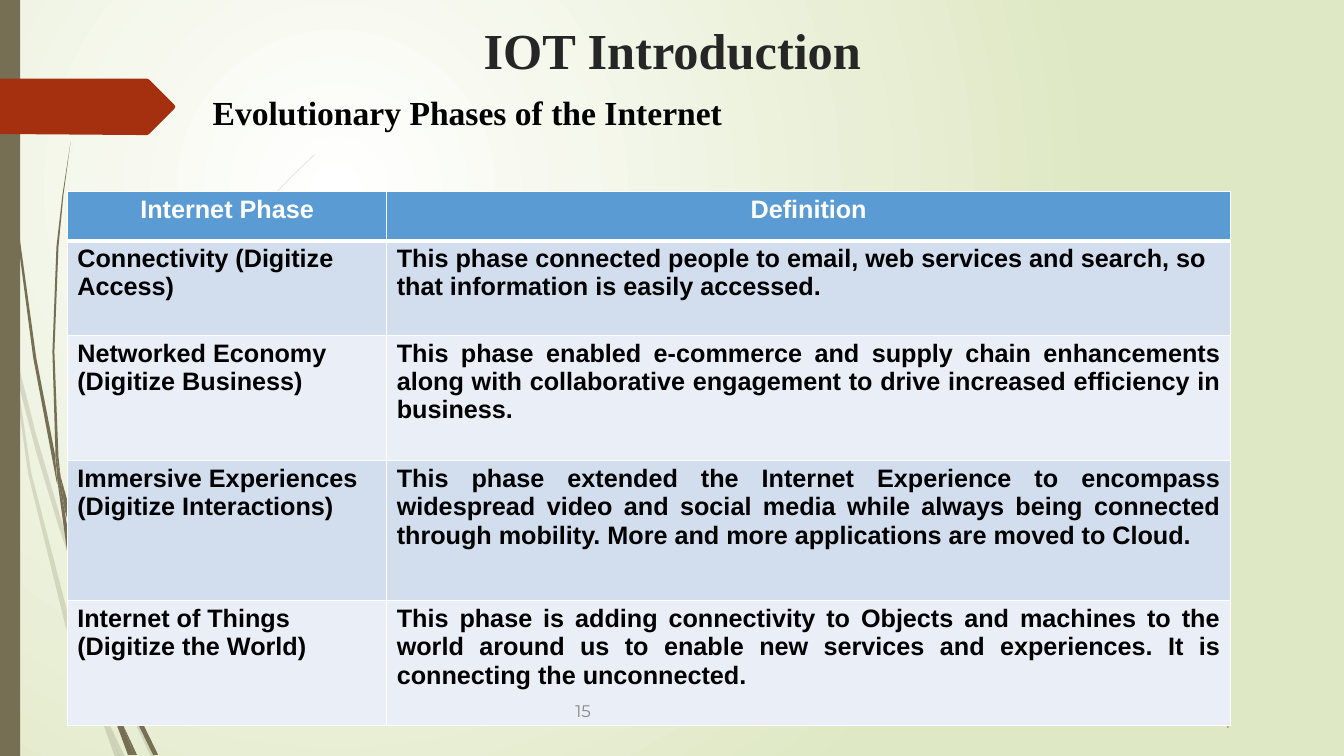
from pptx import Presentation
from pptx.dml.color import RGBColor
from pptx.enum.shapes import MSO_SHAPE
from pptx.enum.text import MSO_ANCHOR as Anchor, PP_ALIGN as Align
from pptx.oxml.ns import qn
from pptx.util import Cm, Pt
from lxml.etree import SubElement

WHITE = RGBColor(0xFF, 0xFF, 0xFF)
BLACK = RGBColor(0, 0, 0)
INK = RGBColor(0x26, 0x26, 0x26)
GREY = RGBColor(0x88, 0x88, 0x88)
PALE_GREEN = RGBColor(0xDF, 0xE8, 0xC4)
OLIVE = RGBColor(0x76, 0x6F, 0x54)
RUST = RGBColor(0xA5, 0x30, 0x10)
HEADER_BLUE = RGBColor(0x5B, 0x9B, 0xD4)
BAND_DARK = RGBColor(0xD2, 0xDE, 0xEE)
BAND_LIGHT = RGBColor(0xEA, 0xEE, 0xF7)

SERIF, SANS, NUMBER = "Times New Roman", "Arial", "Montserrat"
GRID = Cm(2.54) / 100  # outlines are given in hundredths of an inch

FAINT_GRASS = [
    [(11, 350), (9, 322), (0, 282), (0, 299), (10, 344)],
    [(58, 522), (84, 599), (85, 586), (62, 520), (36, 432), (14, 345), (17, 376), (36, 449)],
    [(92, 607), (88, 596), (88, 610), (123, 694), (150, 751), (155, 751), (127, 692)],
    [(119, 751), (124, 751), (105, 711)],
    [(93, 683), (70, 619), (31, 469), (17, 376), (11, 350), (28, 470), (65, 621),
     (92, 693), (101, 714), (99, 707)],
    [(84, 599), (87, 646), (93, 683), (96, 692), (105, 711), (103, 706), (91, 646),
     (88, 610), (88, 608)],
    [(88, 584), (110, 462), (160, 349), (229, 245), (268, 198), (290, 175), (312, 154),
     (312, 153), (289, 175), (268, 197), (228, 244), (158, 348), (107, 461), (85, 584),
     (85, 586), (88, 596)],
    [(101, 714), (114, 751), (119, 751)],
    [(88, 608), (88, 610), (88, 596), (85, 586), (84, 599)],
    [(96, 692), (93, 683), (99, 707), (101, 714), (119, 751), (105, 711)],
]
GRASS = [
    [(7, 110), (17, 233), (33, 355), (56, 477), (57, 481), (55, 457), (55, 453), (36, 355),
     (19, 232), (8, 109), (5, 48), (4, 0), (3, 0), (4, 48)],
    [(88, 592), (106, 645), (106, 633), (106, 631), (93, 590), (60, 472), (64, 505)],
    [(113, 649), (110, 641), (111, 656), (132, 708), (152, 749), (157, 749), (136, 706)],
    [(110, 691), (98, 657), (72, 556), (64, 505), (57, 477), (68, 557), (93, 659),
     (111, 708), (117, 722), (116, 717)],
    [(60, 472), (58, 453), (54, 349), (58, 245), (63, 193), (70, 141), (62, 193),
     (56, 245), (52, 349), (55, 449)],
    [(133, 749), (136, 749), (122, 719)],
    [(57, 477), (64, 505), (60, 472), (55, 449), (55, 453)],
    [(111, 633), (125, 552), (158, 476), (205, 406), (231, 374), (245, 359), (261, 344),
     (260, 344), (245, 358), (231, 373), (204, 405), (156, 474), (122, 551), (106, 631),
     (110, 641)],
    [(117, 722), (127, 749), (131, 749)],
    [(106, 645), (110, 691), (116, 706), (122, 719), (121, 716), (111, 656), (109, 651)],
    [(106, 645), (109, 651), (111, 656), (110, 641), (106, 631), (106, 633)],
    [(116, 706), (110, 691), (116, 717), (117, 722), (130, 749), (133, 749), (122, 719)],
]
ARROW_TAG = [(0, 78), (146, 78), (148, 79), (173, 104), (174, 106), (173, 108), (148, 133),
             (146, 134), (136, 134), (0, 133)]

PHASES = [
    ("Internet Phase", "Definition"),
    ("Connectivity (Digitize Access)",
     "This phase connected people to email, web services and search, so that information "
     "is easily accessed."),
    ("Networked Economy (Digitize Business)",
     "This phase enabled e-commerce and supply chain enhancements along with collaborative "
     "engagement to drive increased efficiency in business."),
    ("Immersive Experiences (Digitize Interactions)",
     "This phase extended the Internet Experience to encompass widespread video and social "
     "media while always being connected through mobility. More and more applications are "
     "moved to Cloud."),
    ("Internet of Things (Digitize the World)",
     "This phase is adding connectivity to Objects and machines to the world around us to "
     "enable new services and experiences. It is connecting the unconnected."),
]


class SlideBuilder:
    def __init__(self, page):
        self.page = page

    def background(self, centre, edge):
        """Fill the page with a round gradient centred in its upper left quarter."""
        fill = self.page.background.fill
        fill.gradient()
        for stop, color in zip(fill.gradient_stops, (centre, edge)):
            stop.color.rgb = color
        gradient = self.page._element.find(".//" + qn("a:gradFill"))
        gradient.remove(gradient.find(qn("a:lin")))
        circle = SubElement(gradient, qn("a:path"), {"path": "circle"})
        SubElement(circle, qn("a:fillToRect"), l="50000", t="50000", r="100000", b="100000")

    def paint(self, shape, color, alpha=None):
        shape.shadow.inherit = False
        shape.line.fill.background()
        shape.fill.solid()
        shape.fill.fore_color.rgb = color
        if alpha:
            tint = shape._element.spPr.find(".//" + qn("a:srgbClr"))
            SubElement(tint, qn("a:alpha"), val=str(alpha * 1000))

    def outline(self, points, color, alpha=None):
        builder = self.page.shapes.build_freeform(*points[0], scale=GRID)
        builder.add_line_segments(points[1:], close=True)
        self.paint(builder.convert_to_shape(), color, alpha)

    def bar(self, left, top, width, height, color):
        self.paint(self.page.shapes.add_shape(
            MSO_SHAPE.RECTANGLE, Cm(left), Cm(top), Cm(width), Cm(height)), color)

    def style(self, para, name, size, color, bold=True, align=Align.LEFT):
        para.alignment = align
        font = para.font
        font.name, font.size, font.bold = name, Pt(size), bold
        font.color.rgb = color

    def text(self, words, left, top, width, height, *look, anchor=Anchor.TOP, **options):
        box = self.page.shapes.add_textbox(Cm(left), Cm(top), Cm(width), Cm(height))
        frame = box.text_frame
        frame.word_wrap = True
        frame.vertical_anchor = anchor
        frame.text = words
        self.style(frame.paragraphs[0], *look, **options)

    def borders(self, cell, top, bottom):
        for side, points in (("L", 1), ("R", 1), ("T", top), ("B", bottom)):
            line = SubElement(cell._tc.get_or_add_tcPr(), qn("a:ln" + side), w=str(Pt(points)))
            fill = SubElement(line, qn("a:solidFill"))
            SubElement(fill, qn("a:srgbClr"), val=str(WHITE))

    def cell(self, cell, words, fill, color, align, top, bottom):
        self.borders(cell, top, bottom)
        cell.fill.solid()
        cell.fill.fore_color.rgb = fill
        cell.margin_left = cell.margin_right = Cm(0.25)
        cell.margin_top, cell.margin_bottom = Cm(0.1), 0
        cell.text_frame.text = words
        self.style(cell.text_frame.paragraphs[0], SANS, 18, color, align=align)

    def table(self, rows, left, top, widths, heights):
        table = self.page.shapes.add_table(len(rows), len(widths), Cm(left), Cm(top),
                                           Cm(sum(widths)), Cm(sum(heights))).table
        for column, width in zip(table.columns, widths):
            column.width = Cm(width)
        for r, (row, height) in enumerate(zip(rows, heights)):
            table.rows[r].height = Cm(height)
            for c, words in enumerate(row):
                if r == 0:
                    look = HEADER_BLUE, WHITE, Align.CENTER
                else:
                    look = (BAND_DARK if r % 2 else BAND_LIGHT, BLACK,
                            Align.JUSTIFY if c and r > 1 else Align.LEFT)
                self.cell(table.cell(r, c), words, *look,
                          top=3 if r == 1 else 1, bottom=3 if r == 0 else 1)
        return table

    def page_number(self, cell, number):
        """Add the number as a last, indented paragraph of the cell."""
        para = cell.text_frame.add_paragraph()
        para.text = number
        self.style(para, NUMBER, 12, GREY, bold=False)
        para.line_spacing, para.space_before = 0.42, Pt(15)
        para._p.get_or_add_pPr().set("marL", str(Cm(4.5)))


def main():
    deck = Presentation()
    deck.slide_width, deck.slide_height = Cm(33.87), Cm(19.05)
    slide = SlideBuilder(deck.slides.add_slide(deck.slide_layouts[6]))
    slide.background(WHITE, PALE_GREEN)
    for blade in FAINT_GRASS:
        slide.outline(blade, OLIVE, alpha=20)
    for blade in GRASS:
        slide.outline(blade, OLIVE)
    slide.bar(0, 0, 0.51, 19.05, OLIVE)
    slide.outline(ARROW_TAG, RUST)
    slide.text("IOT Introduction", 2.34, 0.3, 29.21, 1.88, SERIF, 36, INK,
               align=Align.CENTER, anchor=Anchor.MIDDLE)
    slide.text("4", 30.5, 17.8, 0.9, 0.64, NUMBER, 12, GREY, bold=False)
    table = slide.table(PHASES, 1.7, 4.83, (8.05, 21.26), (1.24, 2.39, 3.15, 3.53, 3.15))
    slide.page_number(table.cell(4, 1), "15")
    slide.text("Evolutionary Phases of the Internet", 5.11, 2.18, 16.94, 2.06, SERIF, 24, BLACK)
    deck.save("out.pptx")


if __name__ == "__main__":
    main()
